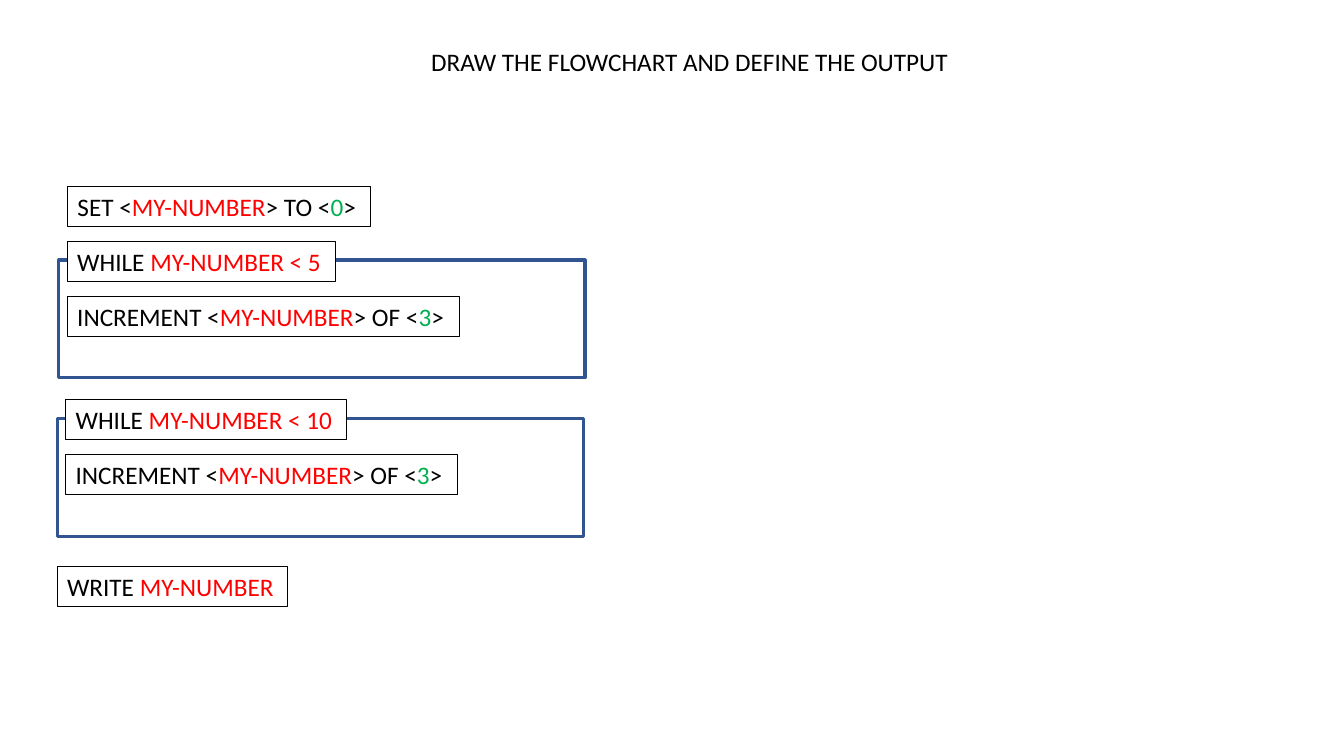
import pptx
import pptx.dml.color
import pptx.enum.shapes
import pptx.enum.text
import pptx.util

COLORS = {
    "keyword": "000000",
    "variable": "FF0000",
    "value": "00B050",
    "loop": "325491",
    "paper": "FFFFFF",
}
FONT = "Calibri"
TEXT_SIZE = 18

# The slide is divided into 100 columns and 100 rows.
SLIDE_WIDTH = pptx.util.Inches(13.33)
SLIDE_HEIGHT = pptx.util.Inches(7.5)
STATEMENT_ROWS = 5.33
LOOP_COLUMNS, LOOP_ROWS = 39.16, 15.6


def grid(left, top, width, height):
    """Turn columns and rows into lengths on the slide."""
    return (
        int(left * SLIDE_WIDTH / 100),
        int(top * SLIDE_HEIGHT / 100),
        int(width * SLIDE_WIDTH / 100),
        int(height * SLIDE_HEIGHT / 100),
    )


def rgb(role):
    return pptx.dml.color.RGBColor.from_string(COLORS[role])


def format_run(run, role):
    run.font.name = FONT
    run.font.size = pptx.util.Pt(TEXT_SIZE)
    run.font.color.rgb = rgb(role)


def fit_one_line(frame, alignment):
    frame.word_wrap = False
    frame.auto_size = pptx.enum.text.MSO_AUTO_SIZE.SHAPE_TO_FIT_TEXT
    frame.vertical_anchor = pptx.enum.text.MSO_ANCHOR.TOP
    frame.paragraphs[0].alignment = alignment


def add_title(slide, text):
    title = slide.shapes.title
    title.left, title.top, title.width, title.height = grid(
        31.13, 5.47, 40.36, STATEMENT_ROWS)
    title.text_frame.text = text
    fit_one_line(title.text_frame, pptx.enum.text.PP_ALIGN.CENTER)
    format_run(title.text_frame.paragraphs[0].runs[0], "keyword")


def add_box(slide, area, line_role, line_width, filled=False):
    box = slide.shapes.add_shape(
        pptx.enum.shapes.MSO_SHAPE.RECTANGLE, *grid(*area))
    box.shadow.inherit = False
    if filled:
        box.fill.solid()
        box.fill.fore_color.rgb = rgb("paper")
    else:
        box.fill.background()
    box.line.color.rgb = rgb(line_role)
    box.line.width = pptx.util.Pt(line_width)
    return box


def add_statement(slide, left, top, width, parts, filled=False):
    """Add a boxed line of pseudocode; parts are (text, colour role) pairs."""
    statement = add_box(
        slide, (left, top, width, STATEMENT_ROWS), "keyword", 0.5, filled)
    fit_one_line(statement.text_frame, pptx.enum.text.PP_ALIGN.LEFT)
    for text, role in parts:
        run = statement.text_frame.paragraphs[0].add_run()
        run.text = text
        format_run(run, role)


def assignment(verb, preposition, value):
    return [
        (f"{verb} <", "keyword"),
        ("MY-NUMBER", "variable"),
        (f"> {preposition} <", "keyword"),
        (value, "value"),
        (">", "keyword"),
    ]


def add_loop(slide, left, top, limit, condition_width):
    """Add a loop frame with its condition on the top edge and its body inside."""
    add_box(slide, (left, top, LOOP_COLUMNS, LOOP_ROWS), "loop", 2.25)
    inner_left = left + 0.64
    add_statement(
        slide, inner_left, top - 2.53, condition_width,
        [("WHILE ", "keyword"), (f"MY-NUMBER < {limit}", "variable")],
        filled=True)
    add_statement(
        slide, inner_left, top + 4.8, 29.18, assignment("INCREMENT", "OF", "3"))


def main():
    deck = pptx.Presentation()
    deck.slide_width, deck.slide_height = SLIDE_WIDTH, SLIDE_HEIGHT
    slide = deck.slides.add_slide(deck.slide_layouts.get_by_name("Title Only"))

    add_title(slide, "DRAW THE FLOWCHART AND DEFINE THE OUTPUT")
    add_statement(slide, 5.03, 24.67, 22.5, assignment("SET", "TO", "0"))
    add_loop(slide, 4.37, 34.4, limit=5, condition_width=19.95)
    add_loop(slide, 4.25, 55.33, limit=10, condition_width=20.86)
    add_statement(
        slide, 4.25, 74.93, 17.1,
        [("WRITE ", "keyword"), ("MY-NUMBER", "variable")])

    deck.save("out.pptx")


if __name__ == "__main__":
    main()
